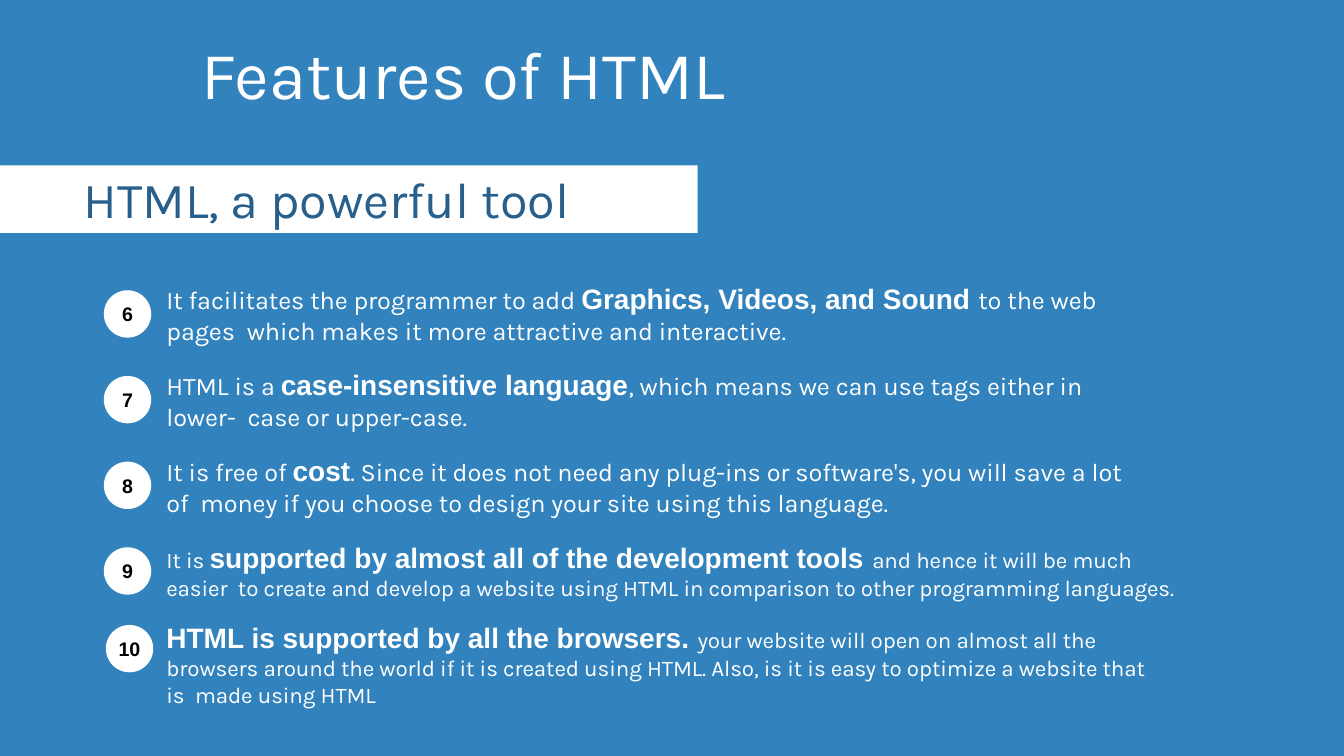
from dataclasses import dataclass

from pptx import Presentation
from pptx.dml.color import RGBColor
from pptx.enum.shapes import MSO_SHAPE
from pptx.enum.text import MSO_ANCHOR, PP_ALIGN
from pptx.shapes.autoshape import Shape
from pptx.slide import Slide
from pptx.text.text import TextFrame, _Paragraph
from pptx.util import Inches, Pt

BLUE = RGBColor(0x31, 0x82, 0xBD)
NAVY = RGBColor(0x28, 0x5F, 0x8B)
WHITE = RGBColor(0xFF, 0xFF, 0xFF)
BLACK = RGBColor(0x00, 0x00, 0x00)

BADGE_SIZE = 0.47
TEXT_LEFT = 1.64


@dataclass
class Feature:
    number: int
    badge_left: float
    badge_top: float
    text_top: float
    width: float
    height: float
    size: int
    lead: str
    strong: str
    rest: str


FEATURES = [
    Feature(6, 1.03, 2.88, 2.77, 9.78, 0.66, 18,
            "It facilitates the programmer to add ",
            "Graphics, Videos, and Sound ",
            "to the web pages  which makes it more attractive and interactive."),
    Feature(7, 1.03, 3.73, 3.63, 9.84, 0.66, 18,
            "HTML is a ",
            "case-insensitive language",
            ", which means we can use tags either in lower-  case or upper-case."),
    Feature(8, 1.03, 4.58, 4.48, 9.72, 0.66, 18,
            "It is free of ",
            "cost",
            ". Since it does not need any plug-ins or software's, you will save a lot "
            "of  money if you choose to design your site using this language."),
    Feature(9, 1.03, 5.43, 5.34, 10.15, 0.63, 16,
            "It is ",
            "supported by almost all of the development tools ",
            "and hence it will be much easier  to create and develop a website using "
            "HTML in comparison to other programming languages."),
    Feature(10, 1.05, 6.2, 6.14, 9.82, 0.9, 16,
            "",
            "HTML is supported by all the browsers. ",
            "your website will open on almost all the browsers around the world if it "
            "is created using HTML. Also, is it is easy to optimize a website that is  "
            "made using HTML"),
]


def add_run(p: _Paragraph, text: str, name: str, size: int, color: RGBColor,
            bold: bool = False, spacing: int = 0) -> None:
    r = p.add_run()
    r.text = text
    for key, value in {"name": name, "size": Pt(size), "bold": bold}.items():
        setattr(r.font, key, value)
    r.font.color.rgb = color
    if spacing:
        # Letter spacing in hundredths of a point
        r._r.get_or_add_rPr().set("spc", str(spacing))


def set_frame(tf: TextFrame, left: float = 0, top: float = 0) -> None:
    frame = {"word_wrap": True, "margin_left": Inches(left), "margin_right": 0,
             "margin_top": Inches(top), "margin_bottom": 0}
    for key, value in frame.items():
        setattr(tf, key, value)


def add_text(s: Slide, left: float, top: float, width: float, height: float) -> _Paragraph:
    box = s.shapes.add_textbox(Inches(left), Inches(top), Inches(width), Inches(height))
    set_frame(box.text_frame, 0.01, 0.02)
    return box.text_frame.paragraphs[0]


def add_white_shape(s: Slide, kind: MSO_SHAPE, left: float, top: float,
                    width: float, height: float) -> Shape:
    sp = s.shapes.add_shape(kind, Inches(left), Inches(top), Inches(width), Inches(height))
    sp.shadow.inherit = False
    sp.fill.solid()
    sp.fill.fore_color.rgb = WHITE
    sp.line.fill.background()
    return sp


def add_feature(s: Slide, feature: Feature) -> None:
    # Numbered badge
    badge = add_white_shape(s, MSO_SHAPE.OVAL, feature.badge_left, feature.badge_top,
                            BADGE_SIZE, BADGE_SIZE)
    tf = badge.text_frame
    set_frame(tf)
    tf.word_wrap = False
    tf.vertical_anchor = MSO_ANCHOR.MIDDLE
    p = tf.paragraphs[0]
    p.alignment = PP_ALIGN.CENTER
    add_run(p, str(feature.number), "Arial", 14, BLACK, bold=True)

    # Description with its key phrase in bold
    p = add_text(s, TEXT_LEFT, feature.text_top, feature.width, feature.height)
    if feature.lead:
        add_run(p, feature.lead, "Karla", feature.size, WHITE, spacing=-5)
    add_run(p, feature.strong, "Arial", 20, WHITE, bold=True)
    add_run(p, feature.rest, "Karla", feature.size, WHITE, spacing=-5)


def main() -> None:
    prs = Presentation()
    prs.slide_width = Inches(13.33)
    prs.slide_height = Inches(7.5)
    s = prs.slides.add_slide(prs.slide_layouts[6])
    s.background.fill.solid()
    s.background.fill.fore_color.rgb = BLUE

    # Title
    add_run(add_text(s, 1.99, 0.3, 5.41, 0.83), "Features of HTML", "Karla", 48, WHITE)

    # Subtitle on a white band
    add_white_shape(s, MSO_SHAPE.RECTANGLE, 0, 1.64, 6.92, 0.67)
    add_run(add_text(s, 0.82, 1.65, 4.92, 0.63), "HTML, a powerful tool", "Karla", 36, NAVY,
            spacing=-5)

    # Feature list
    for feature in FEATURES:
        add_feature(s, feature)

    prs.save("out.pptx")


if __name__ == "__main__":
    main()
